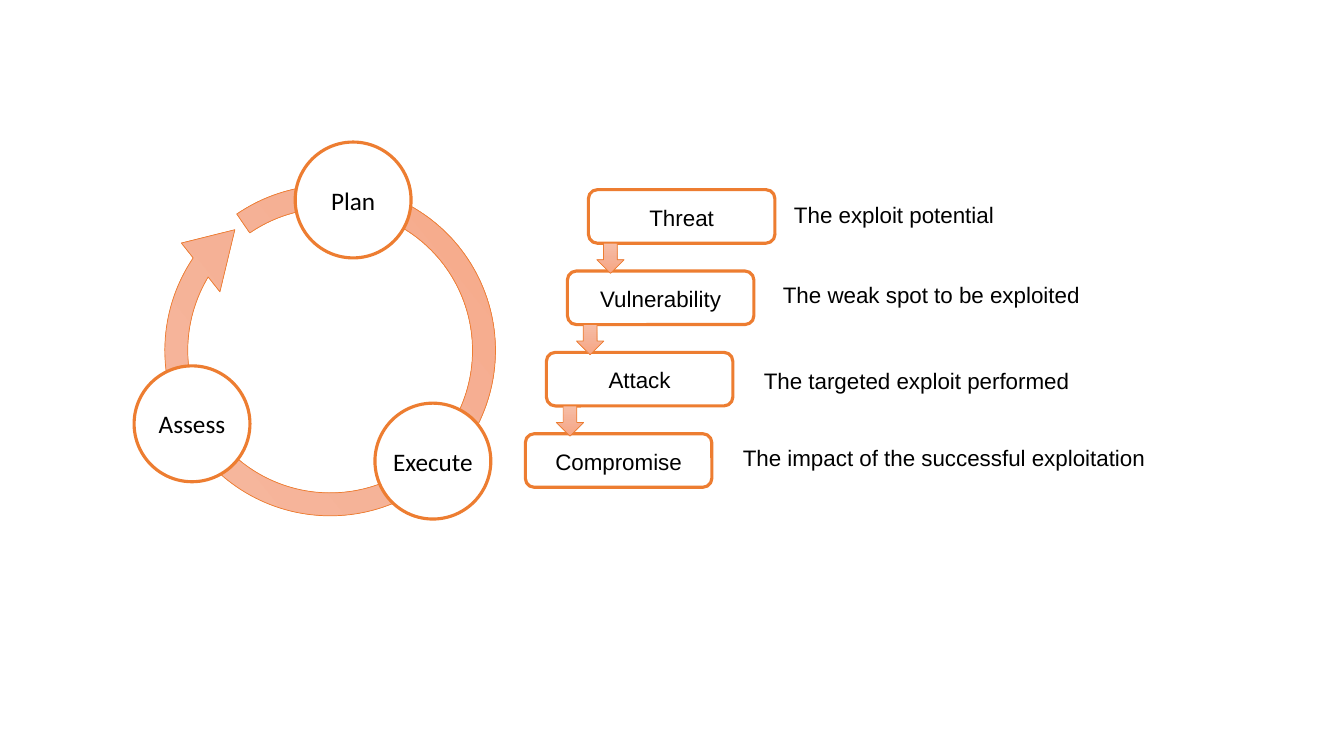
from lxml import etree
from pptx import Presentation
from pptx.dml.color import RGBColor
from pptx.enum import shapes, text
from pptx.oxml import ns
from pptx.util import Cm, Pt

ORANGE = RGBColor(0xED, 0x7D, 0x31)
WHITE = RGBColor(0xFF, 0xFF, 0xFF)
BLACK = RGBColor(0x00, 0x00, 0x00)
PEACH_STOPS = [(0, "F7BDA5"), (50, "F5B196"), (100, "F8A582")]

# Step, then its explanation with left, top, width, height in cm
CHAIN = [
    ("Threat", "The exploit potential", (19.76, 4.9, 5.94, 1.22)),
    ("Vulnerability", "The weak spot to be exploited", (19.48, 6.91, 8.36, 1.22)),
    ("Attack", "The targeted exploit performed", (19.0, 9.09, 8.59, 0.89)),
    ("Compromise", "The impact of the successful exploitation", (18.47, 11.02, 11.02, 1.12)),
]
# Phase, left and top in cm
CYCLE = [("Plan", 7.44, 3.58), ("Execute", 9.45, 10.16), ("Assess", 3.38, 9.22)]

BOX_LEFT, BOX_TOP, BOX_WIDTH, BOX_HEIGHT = 14.83, 4.78, 4.7, 1.35
STEP_LEFT, STEP_DOWN = 0.53, 2.05
ARROW_LEFT, ARROW_STEP, ARROW_WIDTH, ARROW_HEIGHT = 15.04, 0.51, 0.69, 0.76
PHASE_SIZE = 2.92
RING_LEFT, RING_TOP, RING_SIZE, RING_TURN = 3.66, 4.17, 9.32, 231.2
RING_ADJUSTMENTS = [0.062, 11.423, 204.885, 2.652, 0.084]


def add_outlined(slide, preset, area, line_width):
    shape = slide.shapes.add_shape(preset, *map(Cm, area))
    shape.shadow.inherit = False
    shape.line.color.rgb = ORANGE
    shape.line.width = Pt(line_width)
    return shape


def add_peach_arrow(slide, preset, area):
    arrow = add_outlined(slide, preset, area, 0.5)
    arrow.fill.gradient()
    stops = arrow._element.spPr.find(ns.qn("a:gradFill")).find(ns.qn("a:gsLst"))
    for old_stop in list(stops):
        stops.remove(old_stop)
    for percent, colour in PEACH_STOPS:
        stop = etree.SubElement(stops, ns.qn("a:gs"), pos=str(percent * 1000))
        etree.SubElement(stop, ns.qn("a:srgbClr"), val=colour)
    arrow.fill.gradient_angle = 270
    return arrow


def write(shape, words, font, size, align, spacing=1.0):
    frame = shape.text_frame
    frame.word_wrap = True
    frame.text = words
    paragraph = frame.paragraphs[0]
    paragraph.alignment = align
    paragraph.line_spacing = spacing
    run_font = paragraph.runs[0].font
    run_font.name = font
    run_font.size = Pt(size)
    run_font.color.rgb = BLACK


def add_label(slide, preset, area, words, font, size, spacing=1.0, inset=None):
    """Add a white, orange-edged shape with centred text."""
    label = add_outlined(slide, preset, area, 2.25)
    label.fill.solid()
    label.fill.fore_color.rgb = WHITE
    write(label, words, font, size, text.PP_ALIGN.CENTER, spacing)
    frame = label.text_frame
    frame.vertical_anchor = text.MSO_ANCHOR.MIDDLE
    if inset is not None:
        frame.margin_left = frame.margin_right = inset
        frame.margin_top = frame.margin_bottom = inset


def add_chain(slide):
    for i, (step, meaning, meaning_area) in enumerate(CHAIN):
        top = BOX_TOP + i * STEP_DOWN
        box_area = (BOX_LEFT - i * STEP_LEFT, top, BOX_WIDTH, BOX_HEIGHT)
        add_label(slide, shapes.MSO_SHAPE.ROUNDED_RECTANGLE, box_area,
                  step, "Arial", 16, 1.06)
        note = slide.shapes.add_textbox(*map(Cm, meaning_area))
        write(note, meaning, "Arial", 16, text.PP_ALIGN.LEFT, 1.06)
    for i in range(len(CHAIN) - 1):
        arrow_area = (ARROW_LEFT - i * ARROW_STEP,
                      BOX_TOP + i * STEP_DOWN + BOX_HEIGHT,
                      ARROW_WIDTH, ARROW_HEIGHT)
        add_peach_arrow(slide, shapes.MSO_SHAPE.DOWN_ARROW, arrow_area)


def add_cycle(slide):
    ring = add_peach_arrow(slide, shapes.MSO_SHAPE.CIRCULAR_ARROW,
                           (RING_LEFT, RING_TOP, RING_SIZE, RING_SIZE))
    ring.rotation = RING_TURN
    for i, value in enumerate(RING_ADJUSTMENTS):
        ring.adjustments[i] = value
    for phase, left, top in CYCLE:
        add_label(slide, shapes.MSO_SHAPE.OVAL, (left, top, PHASE_SIZE, PHASE_SIZE),
                  phase, "Calibri", 18, inset=0)


def main():
    deck = Presentation()
    deck.slide_width, deck.slide_height = Cm(33.87), Cm(19.05)
    slide = deck.slides.add_slide(deck.slide_layouts.get_by_name("Blank"))
    add_chain(slide)
    add_cycle(slide)
    deck.save("out.pptx")


if __name__ == "__main__":
    main()
